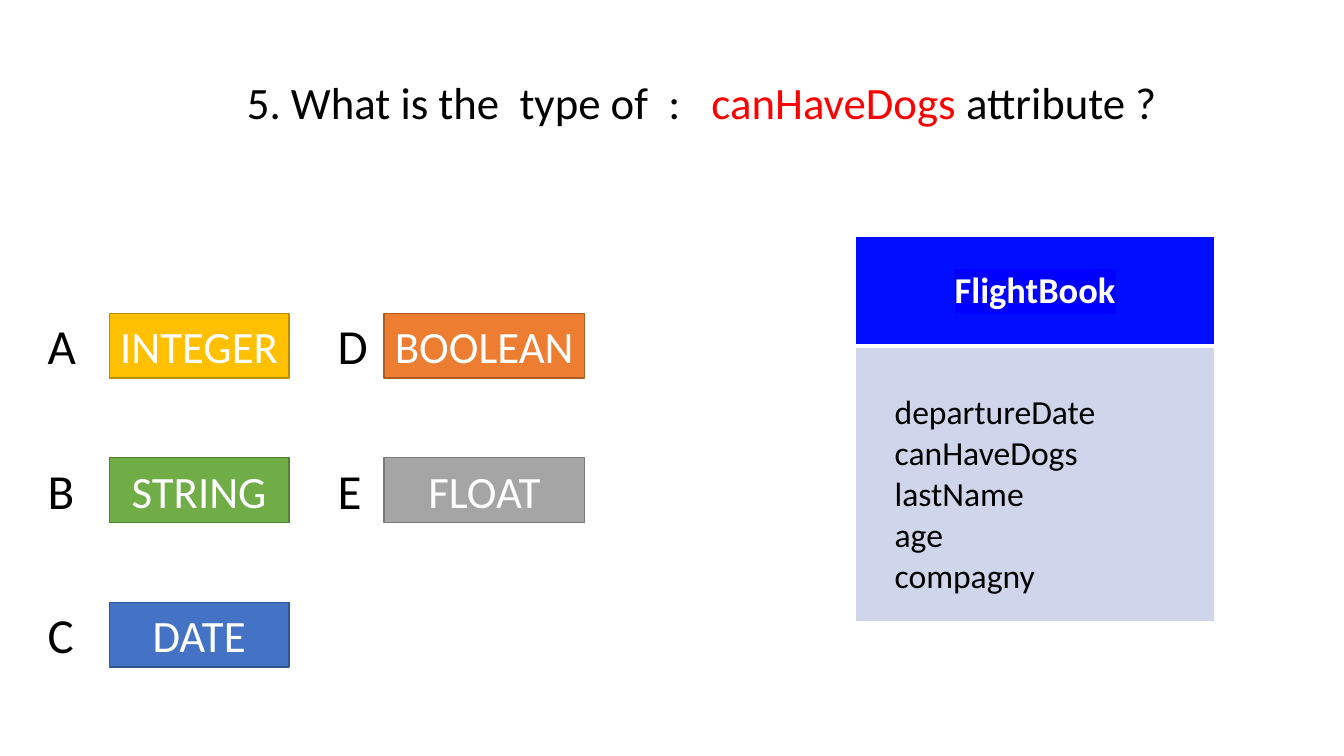
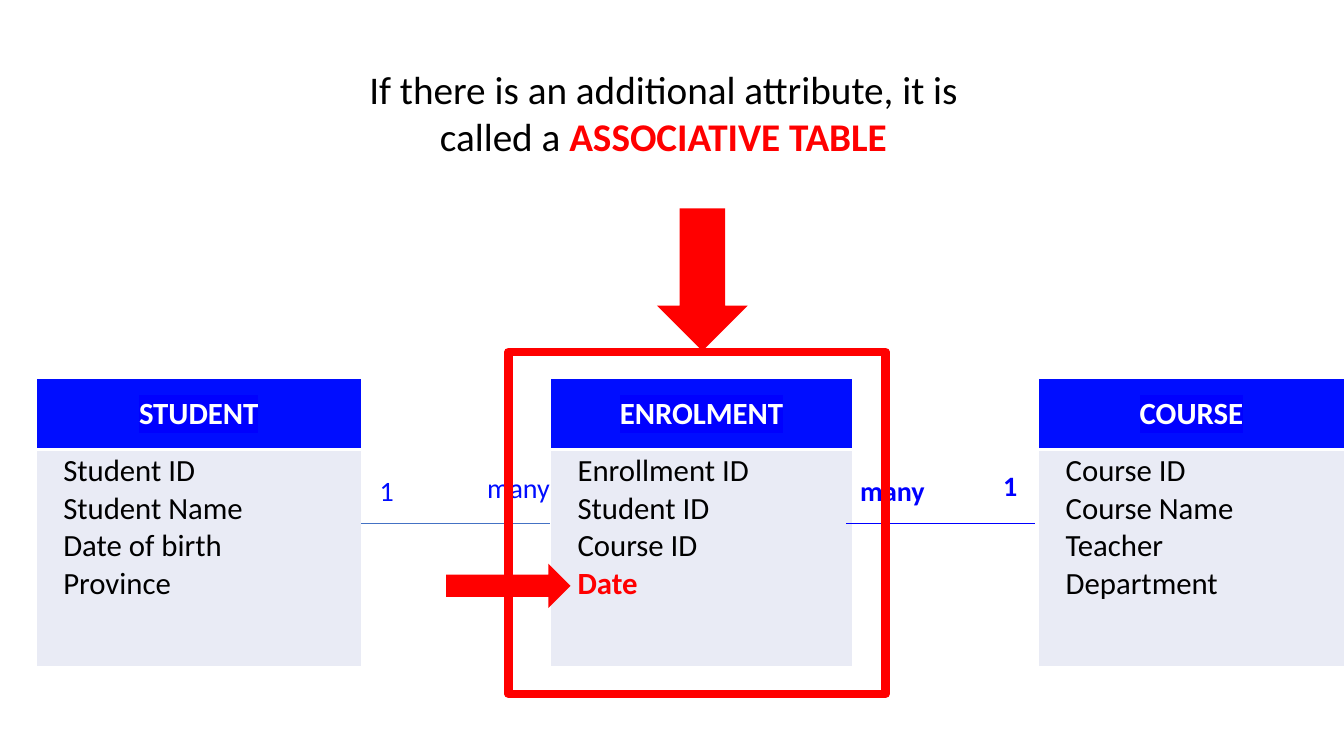
from dataclasses import dataclass

from lxml.etree import SubElement
from pptx import Presentation
from pptx.dml.color import RGBColor
from pptx.enum.shapes import MSO_CONNECTOR, MSO_SHAPE
from pptx.enum.text import MSO_ANCHOR, PP_ALIGN
from pptx.oxml import parse_xml
from pptx.oxml.ns import nsdecls, qn
from pptx.util import Emu, Inches, Pt

# The slide is a grid of 160 columns by 90 rows of square cells.
SLIDE_WIDTH, SLIDE_HEIGHT = Inches(13.33), Inches(7.5)
CELL = SLIDE_HEIGHT / 90

FONT = "Calibri"
BLACK = RGBColor(0x00, 0x00, 0x00)
WHITE = RGBColor(0xFF, 0xFF, 0xFF)
RED = RGBColor(0xFF, 0x00, 0x00)
BLUE = RGBColor(0x00, 0x00, 0xFF)
HEADER_BLUE = RGBColor(0x00, 0x0D, 0xFF)
STEEL_BLUE = RGBColor(0x44, 0x72, 0xC4)
PALE_BLUE = RGBColor(0xCF, 0xD5, 0xEA)
PALE_GREY = RGBColor(0xE9, 0xEB, 0xF5)
AMBER, DARK_AMBER = RGBColor(0xFF, 0xC0, 0x00), RGBColor(0xBD, 0x8E, 0x00)
GREEN, DARK_GREEN = RGBColor(0x70, 0xAD, 0x47), RGBColor(0x53, 0x80, 0x35)
ORANGE, DARK_ORANGE = RGBColor(0xED, 0x7D, 0x31), RGBColor(0xAF, 0x5C, 0x24)
GREY, DARK_GREY = RGBColor(0xA5, 0xA5, 0xA5), RGBColor(0x7A, 0x7A, 0x7A)
DARK_STEEL = RGBColor(0x32, 0x54, 0x91)


def cells(count):
    return Emu(round(count * CELL))


@dataclass(frozen=True)
class Box:
    """An area of the slide, in grid cells."""
    left: float
    top: float
    width: float
    height: float

    def emu(self):
        return [cells(n) for n in (self.left, self.top, self.width, self.height)]

    def inner(self, left, top, width, height):
        return Box(self.left + left, self.top + top, width, height)


@dataclass(frozen=True)
class EntityStyle:
    header_rows: float
    header_size: int
    body_size: int
    body_fill: RGBColor
    margins: tuple  # left, top and the other sides of the attributes, in inches


QUIZ_ENTITY = EntityStyle(13, 26, 24, PALE_BLUE, (0.39, 0.46, 0.05))
MODEL_ENTITY = EntityStyle(8.5, 22, 22, PALE_GREY, (0.27, 0.03, 0.03))


def style_run(run, size, color, bold=False):
    run.font.size = Pt(size)
    run.font.bold = bold
    run.font.color.rgb = color
    run.font.name = FONT


def add_text(slide, box, parts, size, align=PP_ALIGN.LEFT):
    """Write (text, colour, bold) parts as one paragraph."""
    frame = slide.shapes.add_textbox(*box.emu()).text_frame
    frame.word_wrap = True
    paragraph = frame.paragraphs[0]
    paragraph.alignment = align
    for text, color, bold in parts:
        run = paragraph.add_run()
        run.text = text
        style_run(run, size, color, bold)


def add_block(slide, preset, box, fill=None, line=None, line_width=1):
    block = slide.shapes.add_shape(preset, *box.emu())
    block.shadow.inherit = False
    if fill is None:
        block.fill.background()
    else:
        block.fill.solid()
        block.fill.fore_color.rgb = fill
    if line is None:
        block.line.fill.background()
    else:
        block.line.color.rgb = line
        block.line.width = Pt(line_width)
    return block


def add_answer(slide, box, letter, letter_gap, answer, fill, line):
    add_text(slide, box.inner(-letter_gap, -0.3, 6, 8.3), [(letter, BLACK, False)], 35)
    frame = add_block(slide, MSO_SHAPE.RECTANGLE, box, fill, line).text_frame
    frame.text = answer
    frame.word_wrap = False
    frame.vertical_anchor = MSO_ANCHOR.MIDDLE
    frame.paragraphs[0].alignment = PP_ALIGN.CENTER
    style_run(frame.paragraphs[0].runs[0], 32, WHITE)


def set_white_borders(cell, top, bottom):
    widths = {"lnL": 1, "lnR": 1, "lnT": top, "lnB": bottom}
    properties = cell._tc.get_or_add_tcPr()
    for position, (side, width) in enumerate(widths.items()):
        border = parse_xml(
            f'<a:{side} {nsdecls("a")} w="{Pt(width)}"><a:solidFill>'
            f'<a:srgbClr val="{WHITE}"/></a:solidFill></a:{side}>')
        properties.insert(position, border)


def highlight(run, color):
    mark = parse_xml(f'<a:highlight {nsdecls("a")}><a:srgbClr val="{color}"/></a:highlight>')
    run._r.get_or_add_rPr().find(qn("a:solidFill")).addnext(mark)


def add_entity(slide, box, style, name, attributes, extra=None):
    """Draw an entity as a table; the extra attribute is red and bold."""
    table = slide.shapes.add_table(2, 1, *box.emu()).table
    table.rows[0].height = cells(style.header_rows)
    table.rows[1].height = cells(box.height - style.header_rows)
    header, body = table.cell(0, 0), table.cell(1, 0)
    for cell, fill, borders in ((header, HEADER_BLUE, (1, 3)), (body, style.body_fill, (3, 1))):
        cell.fill.solid()
        cell.fill.fore_color.rgb = fill
        set_white_borders(cell, *borders)

    header.text_frame.text = name
    header.vertical_anchor = MSO_ANCHOR.MIDDLE
    title = header.text_frame.paragraphs[0]
    title.alignment = PP_ALIGN.CENTER
    style_run(title.runs[0], style.header_size, WHITE, True)
    highlight(title.runs[0], BLUE)

    left, top, other = style.margins
    body.margin_left, body.margin_top = Inches(left), Inches(top)
    body.margin_right = body.margin_bottom = Inches(other)
    body.text_frame.text = "\n".join(attributes)
    for paragraph in body.text_frame.paragraphs:
        is_extra = paragraph.text == extra
        style_run(paragraph.runs[0], style.body_size, RED if is_extra else BLACK, is_extra)


def add_relation(slide, box, line_color, labels, label_color, bold):
    """Draw a line along the foot of the box, with (text, left, top) labels above."""
    foot = cells(box.top + box.height)
    line = slide.shapes.add_connector(
        MSO_CONNECTOR.STRAIGHT, cells(box.left), foot, cells(box.left + box.width), foot)
    line.line.color.rgb = line_color
    line.line.width = Pt(0.5)
    SubElement(line._element.spPr, qn("a:effectLst"))
    for text, left, top in labels:
        add_text(slide, box.inner(left, top, 10.8, 5.3), [(text, label_color, bold)], 20)


def build_quiz(slide):
    add_text(slide, Box(28.2, 8.3, 112, 7.7), [
        ("5. What is the  type of  :   ", BLACK, False),
        ("canHaveDogs ", RED, False),
        ("attribute ?", BLACK, False)], 32)
    answer_columns = [
        (13, 21.4, 8.5, [("A", "INTEGER", AMBER, DARK_AMBER),
                         ("B", "STRING", GREEN, DARK_GREEN),
                         ("C", "DATE", STEEL_BLUE, DARK_STEEL)]),
        (45.7, 23.9, 6.7, [("D", "BOOLEAN", ORANGE, DARK_ORANGE),
                           ("E", "FLOAT", GREY, DARK_GREY)]),
    ]
    for left, width, letter_gap, answers in answer_columns:
        for row, (letter, answer, fill, line) in enumerate(answers):
            box = Box(left, 37.3 + 17.2 * row, width, 7.7)
            add_answer(slide, box, letter, letter_gap, answer, fill, line)
    add_entity(slide, Box(101.8, 28.2, 42.8, 45.8), QUIZ_ENTITY, "FlightBook",
               ["departureDate", "canHaveDogs", "lastName", "age", "compagny"])


def build_associative_table(slide):
    entities = [
        (4.3, 38.7, "STUDENT", ["Student ID", "Student Name", "Date of birth", "Province"]),
        (65.5, 36, "ENROLMENT", ["Enrollment ID", "Student ID", "Course ID", "Date"]),
        (123.6, 36.4, "COURSE", ["Course ID", "Course Name", "Teacher", "Department"]),
    ]
    for left, width, name, attributes in entities:
        add_entity(slide, Box(left, 45, width, 34.3), MODEL_ENTITY, name, attributes, "Date")

    add_relation(slide, Box(43, 55.3, 22.5, 7), STEEL_BLUE,
                 [("1", 1, 0.5), ("many", 13.8, 0.1)], HEADER_BLUE, False)
    add_relation(slide, Box(100.7, 55.3, 22.5, 7), BLUE,
                 [("many", 0.5, 0.5), ("1", 17.5, -0.1)], BLUE, True)

    add_text(slide, Box(38.8, 7.2, 80.3, 12.5), [
        ("If there is an additional attribute, it is called a ", BLACK, False),
        ("ASSOCIATIVE TABLE", RED, True)], 28, PP_ALIGN.CENTER)
    add_block(slide, MSO_SHAPE.DOWN_ARROW, Box(78.2, 24.8, 10.8, 17), RED)
    focus = Box(60.5, 41.9, 44.9, 40.7)
    add_block(slide, MSO_SHAPE.RECTANGLE, focus, line=RED, line_width=6)
    add_block(slide, MSO_SHAPE.RIGHT_ARROW, focus.inner(-7.4, 25.2, 14.8, 5.3), RED)


def main():
    deck = Presentation()
    deck.slide_width, deck.slide_height = SLIDE_WIDTH, SLIDE_HEIGHT
    for build in (build_quiz, build_associative_table):
        build(deck.slides.add_slide(deck.slide_layouts[6]))
    deck.save("out.pptx")


if __name__ == "__main__":
    main()
